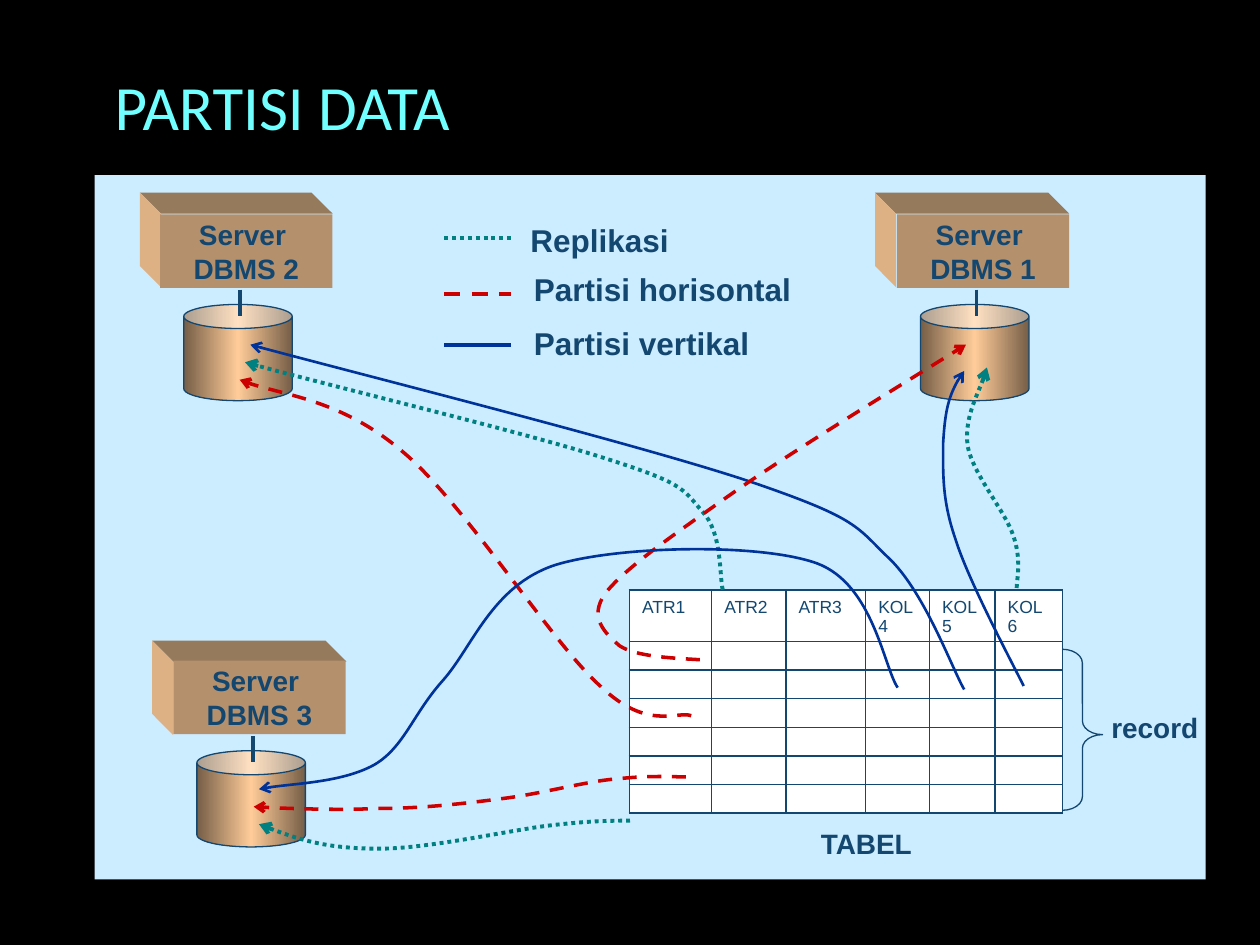
from copy import deepcopy
from dataclasses import dataclass

from lxml.etree import SubElement
from pptx import Presentation
from pptx.dml.color import RGBColor
from pptx.enum.dml import MSO_LINE
from pptx.enum.shapes import MSO_CONNECTOR, MSO_SHAPE
from pptx.enum.text import MSO_ANCHOR, MSO_AUTO_SIZE, PP_ALIGN
from pptx.oxml.ns import qn
from pptx.util import Pt


@dataclass(frozen=True)
class Theme:
    """Colours, fonts and type sizes of the slide."""
    background: str = "000000"
    panel: str = "CCECFF"
    title: str = "71FFFF"
    ink: str = "134770"
    cell: str = "FFFFFF"
    box_front: str = "B5906C"
    box_top: str = "967A5C"
    box_side: str = "DEB184"
    drum: tuple = ("765E47", "FFCC99", "765E47")
    title_font: str = "Calibri"
    body_font: str = "Arial"
    title_size: float = 36
    legend_size: float = 18
    label_size: float = 16
    cell_size: float = 10


@dataclass(frozen=True)
class Flow:
    """Line style of one way to distribute data."""
    color: str
    width: float
    dash: object = None


THEME = Theme()
REPLICATION = Flow("008080", 2.25, MSO_LINE.ROUND_DOT)
HORIZONTAL = Flow("CC0000", 2, MSO_LINE.DASH)
VERTICAL = Flow("003399", 1.5)

SERVERS = [("DBMS 1", 512.5, 122.5), ("DBMS 2", 91.5, 122.5), ("DBMS 3", 99, 377.5)]
LEGEND = [
    ("Replikasi", REPLICATION, 136, (296, 123, 100, 29)),
    ("Partisi horisontal", Flow("CC0000", 2.25, MSO_LINE.DASH), 168, (298, 150.5, 170, 29)),
    ("Partisi vertikal", Flow("003399", 2.25), 197, (298, 181.5, 145, 29)),
]
HEADERS = ["ATR1", "ATR2", "ATR3", "KOL4", "KOL5", "KOL6"]
COLUMN_WIDTHS = [47, 42.5, 45.5, 36.5, 37.5, 38.5]
ROW_HEIGHTS = [29.7] + [16.3] * 6
FLOWS = [
    (VERTICAL, [(551, 394), (544, 382), (529, 340), (509, 320), (489, 301), (492, 297),
                (431, 276), (369, 255), (202, 213), (143, 197)]),
    (VERTICAL, [(585, 392), (578, 378), (553, 331), (546, 308), (538, 285), (539, 269),
                (539, 253), (540, 237), (542, 224), (551, 212)]),
    (HORIZONTAL, [(395, 409), (387, 406), (370, 418), (343, 392), (315, 367), (265, 287),
                  (230, 258), (196, 229), (156, 225), (137, 217)]),
    (HORIZONTAL, [(392, 444), (386, 444), (371, 443), (354, 445), (337, 446), (312, 453),
                  (290, 456), (267, 459), (242, 462), (217, 462), (194, 463), (161, 462),
                  (145, 461)]),
    (REPLICATION, [(581, 336), (581, 331), (584, 320), (579, 306), (575, 293), (556, 271),
                   (553, 255), (551, 239), (562, 219), (564, 210)]),
    (REPLICATION, [(360, 469), (348, 469), (337, 469), (312, 472), (289, 475), (244, 485),
                   (217, 485), (189, 485), (170, 480), (148, 471)]),
    (REPLICATION, [(413, 337), (411, 330), (413, 304), (401, 292), (390, 279), (390, 276),
                   (346, 262), (303, 248), (186, 220), (140, 207)]),
    (HORIZONTAL, [(400, 377), (382, 376), (363, 375), (354, 369), (346, 362), (336, 353),
                  (346, 339), (357, 325), (383, 307), (417, 283), (451, 259), (523, 215),
                  (552, 197)]),
    (VERTICAL, [(513, 393), (505, 381), (499, 334), (467, 322), (434, 310), (352, 312),
                (317, 323), (281, 335), (270, 370), (253, 389), (236, 408), (231, 427),
                (214, 437), (196, 447), (161, 448), (148, 451)]),
]


def rgb(color):
    """Turn a hex string into a colour."""
    return RGBColor.from_string(color)


def paint(shape, fill=None, line=None):
    """Give a shape a flat fill and line, or none, and no shadow."""
    shape.shadow.inherit = False
    if fill:
        shape.fill.solid()
        shape.fill.fore_color.rgb = rgb(fill)
    else:
        shape.fill.background()
    if line:
        stroke(shape, line)
    else:
        shape.line.fill.background()


def stroke(shape, flow):
    """Apply a flow's colour, width and dash to an outline."""
    shape.line.color.rgb = rgb(flow.color)
    shape.line.width = Pt(flow.width)
    if flow.dash:
        shape.line.dash_style = flow.dash


def write(paragraph, text, size, color=THEME.ink, font=THEME.body_font, bold=True):
    """Add one formatted run to a paragraph."""
    run = paragraph.add_run()
    run.text = text
    run.font.size, run.font.name, run.font.bold = Pt(size), font, bold
    run.font.color.rgb = rgb(color)


def add_preset(shapes, kind, left, top, width, height, fill=None, line=None):
    """Add a painted preset shape."""
    shape = shapes.add_shape(kind, Pt(left), Pt(top), Pt(width), Pt(height))
    paint(shape, fill, line)
    return shape


def add_outline(shapes, points, closed):
    """Add a freeform through points."""
    builder = shapes.build_freeform(*points[0], scale=Pt(1))
    builder.add_line_segments(points[1:], close=closed)
    return builder.convert_to_shape()


def add_line(shapes, start, end, flow):
    """Add a straight line without shadow."""
    line = shapes.add_connector(MSO_CONNECTOR.STRAIGHT, *map(Pt, start + end))
    stroke(line, flow)
    SubElement(line._element.spPr, qn("a:effectLst"))


def add_label(shapes, text, box, size):
    """Add a one-line bold label."""
    frame = shapes.add_textbox(*map(Pt, box)).text_frame
    frame.word_wrap = False
    frame.auto_size = MSO_AUTO_SIZE.SHAPE_TO_FIT_TEXT
    write(frame.paragraphs[0], text, size)


def add_flow(shapes, flow, points):
    """Add a curved arrow from Bezier points, three for each segment."""
    curve = add_outline(shapes, points, closed=False)
    paint(curve, line=flow)
    segments = curve._element.spPr.findall(".//" + qn("a:lnTo"))
    for first in range(0, len(segments), 3):
        bezier = SubElement(segments[first].getparent(), qn("a:cubicBezTo"))
        for segment in segments[first:first + 3]:
            bezier.append(segment[0])
            segment.getparent().remove(segment)
    SubElement(curve._element.spPr.find(qn("a:ln")), qn("a:tailEnd"), type="arrow")


def add_server(slide, name, left, top):
    """Add a server box with its storage drum, placed by the box front."""
    shapes = slide.shapes.add_group_shape().shapes
    width, height, depth = 98.5, 42, 12
    right, bottom = left + width, top + height
    drum = add_preset(shapes, MSO_SHAPE.CAN, left + 13.5, top + 51.5, 62, 55,
                      line=Flow(THEME.ink, 0.75))
    drum.fill.gradient()
    drum.fill.gradient_angle = 0
    stops = drum._element.spPr.find(".//" + qn("a:gsLst"))
    stops.append(deepcopy(stops[0]))
    for stop, position, color in zip(drum.fill.gradient_stops, (0, 0.5, 1), THEME.drum):
        stop.position, stop.color.rgb = position, rgb(color)
    back_left, back_top = left - depth, top - depth
    roof = [(left, top), (back_left, back_top), (right - depth, back_top), (right, top)]
    side = [(left, top), (back_left, back_top), (back_left, bottom - depth), (left, bottom)]
    for face, color in ((roof, THEME.box_top), (side, THEME.box_side)):
        paint(add_outline(shapes, face, closed=True), color)
    front = add_preset(shapes, MSO_SHAPE.RECTANGLE, left, top, width, height, THEME.box_front)
    frame = front.text_frame
    frame.word_wrap, frame.vertical_anchor = False, MSO_ANCHOR.MIDDLE
    for paragraph, text in ((frame.paragraphs[0], "Server "), (frame.add_paragraph(), name)):
        paragraph.alignment = PP_ALIGN.CENTER
        write(paragraph, text, THEME.label_size)
    add_line(shapes, (left + 45.5, top + 43), (left + 45.5, top + 58), Flow(THEME.ink, 2.25))


def add_record_table(slide):
    """Add the table whose rows and columns are distributed."""
    frame = slide.shapes.add_table(len(ROW_HEIGHTS), len(HEADERS), Pt(359.7), Pt(337),
                                   Pt(sum(COLUMN_WIDTHS)), Pt(sum(ROW_HEIGHTS)))
    table = frame.table
    table.first_row = table.horz_banding = False
    for column, width in zip(table.columns, COLUMN_WIDTHS):
        column.width = Pt(width)
    for row, height in zip(table.rows, ROW_HEIGHTS):
        row.height = Pt(height)
    for cell in table.iter_cells():
        cell.margin_top = cell.margin_bottom = 0
        for side in ("a:lnL", "a:lnR", "a:lnT", "a:lnB"):
            border = SubElement(cell._tc.get_or_add_tcPr(), qn(side), w=str(Pt(1)))
            SubElement(SubElement(border, qn("a:solidFill")), qn("a:srgbClr"), val=THEME.ink)
        cell.fill.solid()
        cell.fill.fore_color.rgb = rgb(THEME.cell)
    for cell, header in zip(table.rows[0].cells, HEADERS):
        cell.margin_top = Pt(4.5)
        write(cell.text_frame.paragraphs[0], header, THEME.cell_size, bold=False)
    for row in list(table.rows)[1:]:
        for cell in row.cells:
            SubElement(cell.text_frame.paragraphs[0]._p, qn("a:endParaRPr"),
                       sz=str(THEME.cell_size * 100))


def add_title(slide, text):
    """Place and fill the title placeholder."""
    title = slide.shapes.title
    title.left, title.top, title.width, title.height = map(Pt, (54, 18, 612, 90))
    frame = title.text_frame
    frame.auto_size, frame.vertical_anchor = MSO_AUTO_SIZE.NONE, MSO_ANCHOR.MIDDLE
    frame.margin_left = Pt(11.5)
    paragraph = frame.paragraphs[0]
    paragraph.alignment, paragraph.line_spacing = PP_ALIGN.LEFT, 0.9
    write(paragraph, text, THEME.title_size, THEME.title, THEME.title_font, bold=False)


def add_legend(slide):
    """Add the key to the three line styles."""
    shapes = slide.shapes.add_group_shape().shapes
    for text, flow, y, box in LEGEND:
        add_line(shapes, (254, y), (292, y), flow)
        add_label(shapes, text, box, THEME.legend_size)


def main():
    """Build the slide on data partitioning."""
    deck = Presentation()
    deck.slide_width, deck.slide_height = Pt(720), Pt(540)
    slide = deck.slides.add_slide(deck.slide_layouts[5])
    slide.background.fill.solid()
    slide.background.fill.fore_color.rgb = rgb(THEME.background)
    add_title(slide, "PARTISI DATA")
    add_preset(slide.shapes, MSO_SHAPE.RECTANGLE, 54, 100, 635, 402.5, THEME.panel)
    for name, left, top in SERVERS:
        add_server(slide, name, left, top)
    add_record_table(slide)
    for flow, points in FLOWS:
        add_flow(slide.shapes, flow, points)
    brace = add_preset(slide.shapes, MSO_SHAPE.LEFT_BRACE, 607, 371, 23, 92,
                       line=Flow(THEME.ink, 0.75))
    brace.rotation = 180
    brace.adjustments[0], brace.adjustments[1] = 0.34, 0.47
    add_label(slide.shapes, "TABEL", (462, 469, 68, 27), THEME.label_size)
    add_label(slide.shapes, "record", (628, 402.5, 64, 27), THEME.label_size)
    add_legend(slide)
    deck.save("out.pptx")


if __name__ == "__main__":
    main()
